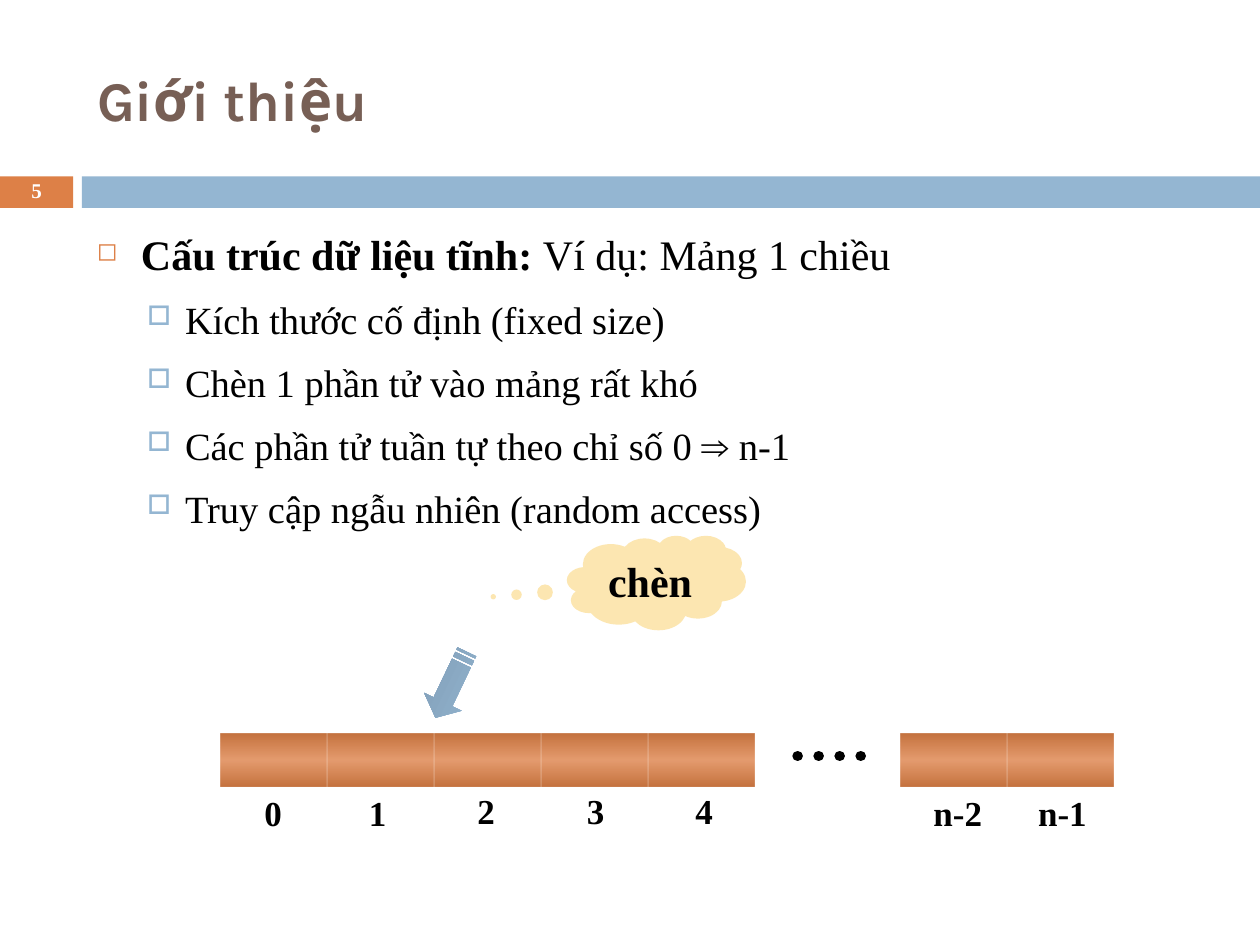
import pptx
import pptx.util
import pptx.dml.color
import pptx.enum.dml
import pptx.enum.shapes
import pptx.enum.text
import pptx.oxml
import pptx.oxml.ns
from lxml import etree

Inches, Pt = pptx.util.Inches, pptx.util.Pt
KIND = pptx.enum.shapes.MSO_SHAPE
ALIGN = pptx.enum.text.PP_ALIGN
ANCHOR = pptx.enum.text.MSO_ANCHOR
qn = pptx.oxml.ns.qn

# Content
COLORS = {"orange": "DD8047", "rust": "C4723F", "blue": "94B6D2", "steel": "7F9CB4",
          "brown": "775F55", "gold": "F7B615", "black": "000000", "white": "FFFFFF"}
TITLE = "Giới thiệu"
NUMBER = "5"
HEAD = [("Cấu trúc dữ liệu tĩnh: ", True), ("Ví dụ: Mảng 1 chiều", False)]
POINTS = ["Kích thước cố định (fixed size)",
          "Chèn 1 phần tử vào mảng rất khó",
          "Các phần tử tuần tự theo chỉ số 0 ⇒ n-1",
          "Truy cập ngẫu nhiên (random access)"]
CLOUD = "chèn"
# Each run of cells: left edge, number of cells
CELLS = [(1.75, 5), (7.15, 2)]
# Each index label: text, left, top, width
LABELS = [("0", 2, 6.23, 0.34), ("1", 2.83, 6.23, 0.34), ("2", 3.69, 6.22, 0.34),
          ("3", 4.56, 6.22, 0.34), ("4", 5.42, 6.22, 0.34),
          ("n-2", 7.31, 6.23, 0.59), ("n-1", 8.14, 6.23, 0.59)]
PITCH, CELL_W, CELL_H, CELL_TOP = 0.85, 0.84, 0.42, 5.82
# Arrow outlines, pointing right, before the turn
STRIPES = [(0, 0.02), (0.04, 0.08)]
ARROW_W, ARROW_H, NECK, TAIL = 0.58, 0.33, 0.44, 0.1


def rgb(name):
    return pptx.dml.color.RGBColor.from_string(COLORS[name])


def box(*place):
    return [Inches(v) for v in place]


def write(para, text, size=20, color="black", bold=True, font="Times New Roman",
          align=ALIGN.LEFT):
    para.alignment = align
    run = para.add_run()
    run.text = text
    run.font.size, run.font.bold, run.font.name = Pt(size), bold, font
    run.font.color.rgb = rgb(color)


def bullet(para, mark, color, size, left, hang):
    props = para._p.get_or_add_pPr()
    props.set("marL", str(Inches(left)))
    props.set("indent", str(-Inches(hang)))
    tint = etree.SubElement(props, qn("a:buClr"))
    etree.SubElement(tint, qn("a:srgbClr"), val=COLORS[color])
    etree.SubElement(props, qn("a:buSzPct"), val=str(size * 1000))
    etree.SubElement(props, qn("a:buChar"), char=mark)
    para.line_spacing = Pt(30)


def plain(shape, color):
    shape.shadow.inherit = False
    shape.line.fill.background()
    shape.fill.solid()
    shape.fill.fore_color.rgb = rgb(color)
    return shape


def fade(shape, *stops):
    """Fill from top to bottom; a stop is position, colour, opacity (percent)."""
    grad = etree.Element(qn("a:gradFill"), rotWithShape="1")
    group = etree.SubElement(grad, qn("a:gsLst"))
    for pos, color, alpha in stops:
        stop = etree.SubElement(group, qn("a:gs"), pos=str(pos * 1000))
        tint = etree.SubElement(stop, qn("a:srgbClr"), val=COLORS[color])
        if alpha < 100:
            etree.SubElement(tint, qn("a:alpha"), val=str(alpha * 1000))
    etree.SubElement(grad, qn("a:lin"), ang="5400000", scaled="0")
    props = shape._element.spPr
    props.replace(props.find(qn("a:solidFill")), grad)


prs = pptx.Presentation()
prs.slide_width, prs.slide_height = box(10, 7.5)
slide = prs.slides.add_slide(prs.slide_layouts[5])
shapes = slide.shapes

# Band under the title
for color, left, width in [("orange", 0, 0.58), ("blue", 0.65, 9.35)]:
    plain(shapes.add_shape(KIND.RECTANGLE, *box(left, 1.4, width, 0.25)), color)

# Title
title = shapes.title
title.left, title.top, title.width, title.height = box(0.67, 0.25, 8.92, 1.08)
title.text_frame.vertical_anchor = ANCHOR.MIDDLE
write(title.text_frame.paragraphs[0], TITLE, size=32, color="brown", font="Karla")

# Bulleted text
body = shapes.add_textbox(*box(0.67, 1.75, 8.92, 4.92)).text_frame
body.word_wrap = True
para = body.paragraphs[0]
bullet(para, "◻", "orange", 60, 0.35, 0.35)
for text, bold in HEAD:
    write(para, text, size=24, bold=bold)
for text in POINTS:
    para = body.add_paragraph()
    para.level = 1
    bullet(para, "□", "blue", 70, 0.7, 0.3)
    para.space_before = Pt(6)
    write(para, text, size=22, bold=False)

# Slide number
frame = shapes.add_textbox(*box(0, 1.39, 0.58, 0.27)).text_frame
frame.word_wrap = True
frame.vertical_anchor = ANCHOR.MIDDLE
frame.paragraphs[0].line_spacing = 0.8
write(frame.paragraphs[0], NUMBER, size=12, color="white", align=ALIGN.CENTER)

# Array cells
for left, count in CELLS:
    for i in range(count):
        cell = shapes.add_shape(
            KIND.RECTANGLE, *box(left + i * PITCH, CELL_TOP, CELL_W, CELL_H))
        fade(plain(cell, "rust"), (0, "rust", 100), (50, "orange", 78), (100, "rust", 100))

# Index labels
for text, left, top, width in LABELS:
    frame = shapes.add_textbox(*box(left, top, width, 0.43)).text_frame
    frame.word_wrap = False
    frame.auto_size = pptx.enum.text.MSO_AUTO_SIZE.SHAPE_TO_FIT_TEXT
    write(frame.paragraphs[0], text)

# Dots between the cells
dots = shapes.add_connector(pptx.enum.shapes.MSO_CONNECTOR.STRAIGHT, *box(6.33, 6, 6.85, 6))
dots.line.width = Pt(6)
dots.line.color.rgb = rgb("black")
dots.line.dash_style = pptx.enum.dml.MSO_LINE.ROUND_DOT
dots.line._ln.set("cap", "rnd")
etree.SubElement(dots._element.spPr, qn("a:effectLst"))

# Striped arrow
top, low, mid = ARROW_H / 4, ARROW_H * 3 / 4, ARROW_H / 2
outlines = [[(TAIL, top), (NECK, top), (NECK, 0), (ARROW_W, mid),
             (NECK, ARROW_H), (NECK, low), (TAIL, low)]]
outlines += [[(a, top), (b, top), (b, low), (a, low)] for a, b in STRIPES]
pen = shapes.build_freeform(*box(*outlines[0][0]))
for i, points in enumerate(outlines):
    if i:
        pen.move_to(*box(*points[0]))
    pen.add_line_segments([box(*p) for p in points[1:]], close=True)
arrow = plain(pen.convert_to_shape(*box(3.29, 5.27)), "blue")
fade(arrow, (0, "blue", 100), (100, "steel", 100))
arrow.rotation = 115.5

# Thought cloud
cloud = plain(shapes.add_shape(KIND.CLOUD_CALLOUT, *box(4.5, 4.25, 1.42, 0.75)), "gold")
cloud.adjustments[0], cloud.adjustments[1] = -0.912, 0.148
tint = cloud._element.spPr.find(qn("a:solidFill"))[0]
etree.SubElement(tint, qn("a:alpha"), val="33000")
write(cloud.text_frame.paragraphs[0], CLOUD, size=24, align=ALIGN.CENTER)

prs.save("out.pptx")
